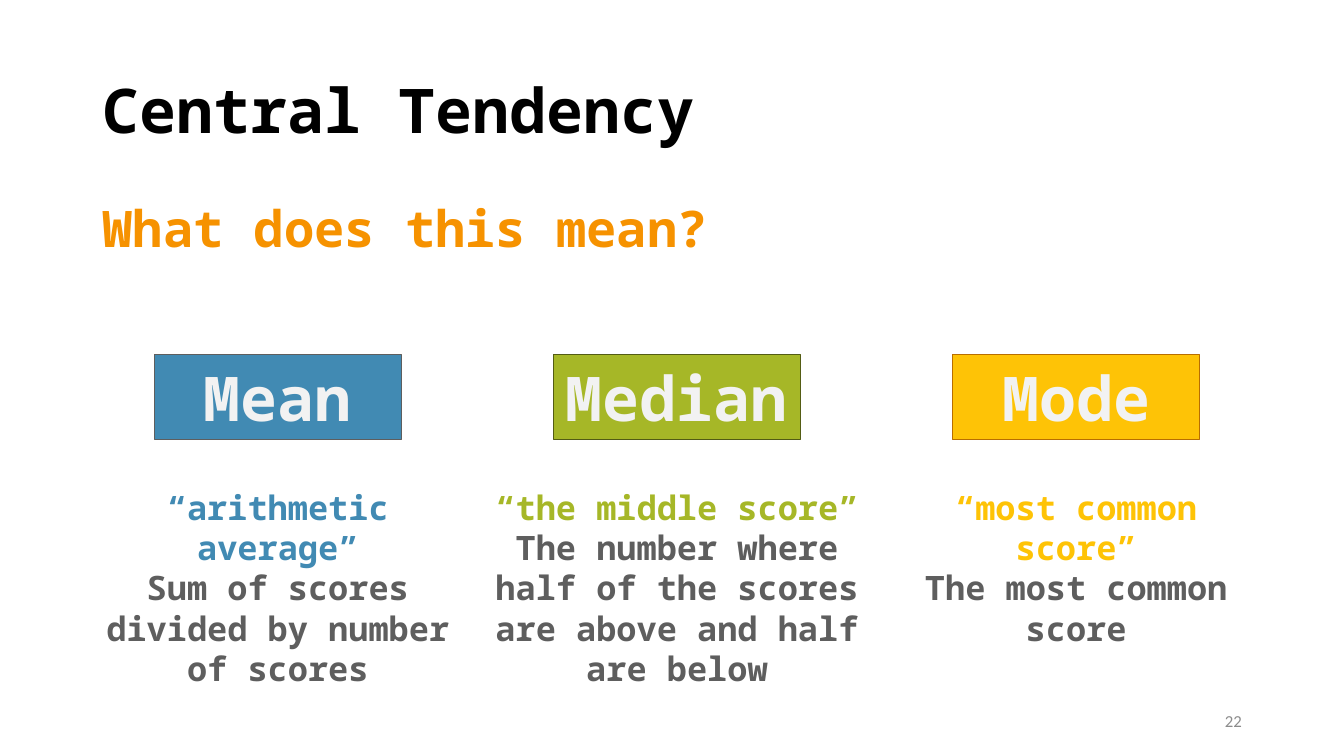
from pptx import Presentation
from pptx.dml.color import RGBColor
from pptx.enum import shapes, text
from pptx.util import Cm, Pt

BLACK = RGBColor(0x00, 0x00, 0x00)
ORANGE = RGBColor(0xF6, 0x92, 0x00)
BLUE = RGBColor(0x41, 0x8A, 0xB3)
GREEN = RGBColor(0xA6, 0xB7, 0x27)
DARK_GREEN = RGBColor(0x53, 0x5C, 0x14)
YELLOW = RGBColor(0xFE, 0xC3, 0x06)
BROWN = RGBColor(0xB8, 0x6E, 0x00)
GREY = RGBColor(0x5E, 0x5E, 0x5E)
LIGHT_GREY = RGBColor(0x8C, 0x8C, 0x8C)
OFF_WHITE = RGBColor(0xF2, 0xF2, 0xF2)
MONO = "Noto Sans Mono"

TITLE = "Central Tendency"
QUESTION = "What does this mean?"
PAGE_NUMBER = "22"
MEASURES = [
    ("Mean", "“arithmetic average”", "Sum of scores divided by number of scores", BLUE, GREY, 4.37),
    ("Median", "“the middle score”",
     "The number where half of the scores are above and half are below", GREEN, DARK_GREEN, 5.38),
    ("Mode", "“most common score”", "The most common score", YELLOW, BROWN, 3.33),
]
FIRST_CENTER, COLUMN_PITCH = 7, 10.06
LABEL_WIDTH, DEFINITION_WIDTH = 6.22, 9.93


def write(shape, lines, size, alignment=text.PP_ALIGN.LEFT, font=MONO, bold=True,
          anchor=text.MSO_ANCHOR.TOP):
    """Fill a shape with one paragraph per (wording, colour) pair."""
    frame = shape.text_frame
    frame.word_wrap = True
    frame.vertical_anchor = anchor
    frame.text = "\n".join(wording for wording, _ in lines)
    for paragraph, (_, color) in zip(frame.paragraphs, lines):
        paragraph.alignment = alignment
        paragraph.font.name = font
        paragraph.font.size = Pt(size)
        paragraph.font.bold = bold
        paragraph.font.color.rgb = color


def add_text(slide, left, top, width, height, lines, size, **style):
    """Add a wrapped text box, measured in centimetres."""
    box = slide.shapes.add_textbox(Cm(left), Cm(top), Cm(width), Cm(height))
    write(box, lines, size, **style)


def add_label(slide, center, name, fill, outline):
    """Add the coloured box that names a measure."""
    label = slide.shapes.add_shape(
        shapes.MSO_SHAPE.RECTANGLE, Cm(center - LABEL_WIDTH / 2), Cm(8.94), Cm(LABEL_WIDTH), Cm(2.13))
    label.shadow.inherit = False
    label.fill.solid()
    label.fill.fore_color.rgb = fill
    label.line.color.rgb = outline
    label.line.width = Pt(0.75)
    write(label, [(name, OFF_WHITE)], 44, alignment=text.PP_ALIGN.CENTER)


def main():
    """Build the central tendency slide."""
    presentation = Presentation()
    presentation.slide_width, presentation.slide_height = Cm(33.87), Cm(19.05)
    slide = presentation.slides.add_slide(presentation.slide_layouts[5])

    title = slide.shapes.title
    title.left, title.top, title.width, title.height = Cm(2.34), Cm(1.02), Cm(29.21), Cm(3.68)
    write(title, [(TITLE, BLACK)], 44, anchor=text.MSO_ANCHOR.MIDDLE)
    title.text_frame.paragraphs[0].line_spacing = 0.9
    add_text(slide, 2.34, 4.85, 30.45, 1.8, [(QUESTION, ORANGE)], 36)

    for column, (name, quote, meaning, color, outline, height) in enumerate(MEASURES):
        center = FIRST_CENTER + column * COLUMN_PITCH
        add_label(slide, center, name, color, outline)
        add_text(slide, center - DEFINITION_WIDTH / 2, 12.14, DEFINITION_WIDTH, height,
                 [(quote, color), (meaning, GREY)], 24, alignment=text.PP_ALIGN.CENTER)

    add_text(slide, 23.93, 17.65, 7.62, 1.02, [(PAGE_NUMBER, LIGHT_GREY)], 12,
             alignment=text.PP_ALIGN.RIGHT, font="Calibri", bold=False,
             anchor=text.MSO_ANCHOR.MIDDLE)
    presentation.save("out.pptx")


if __name__ == "__main__":
    main()
